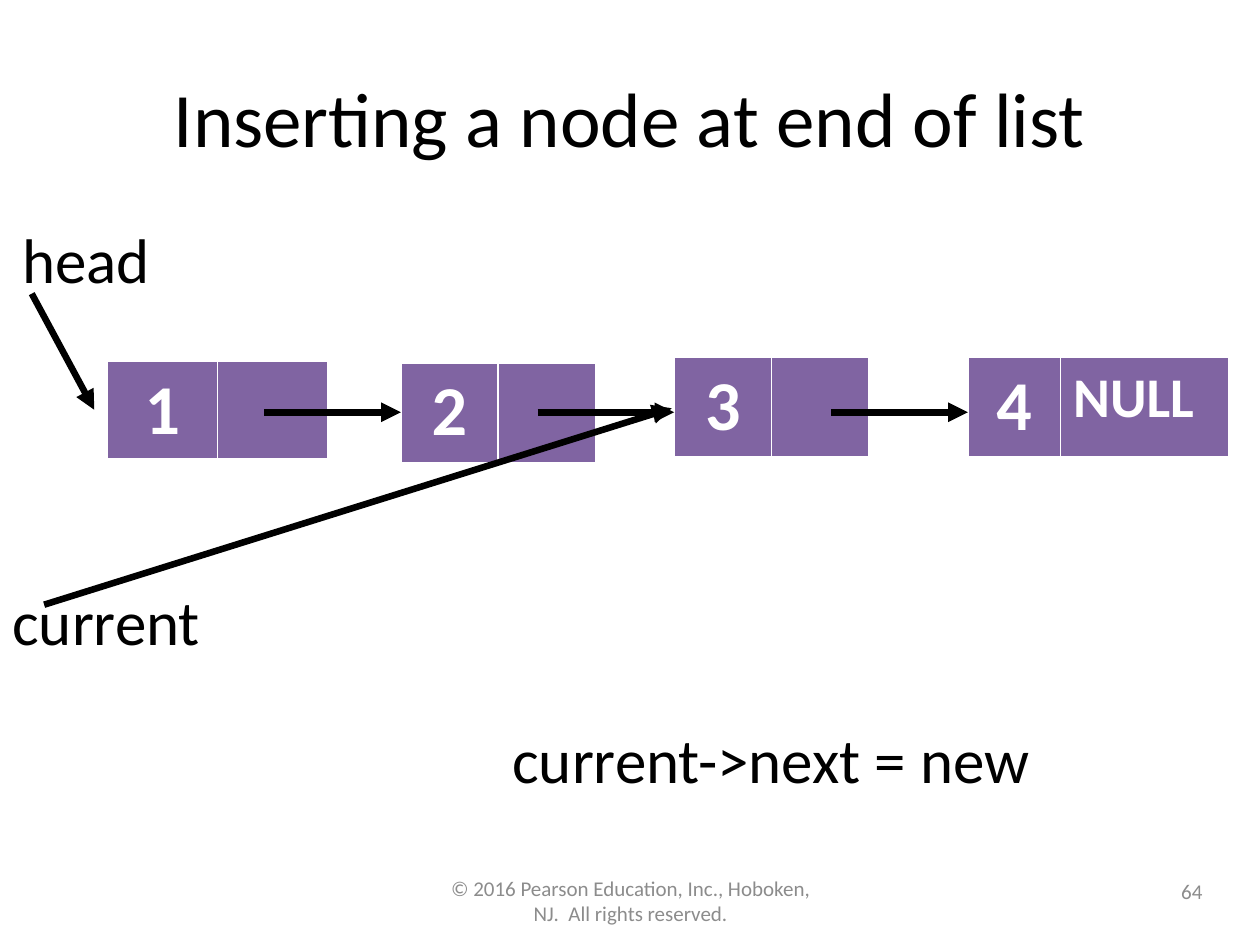
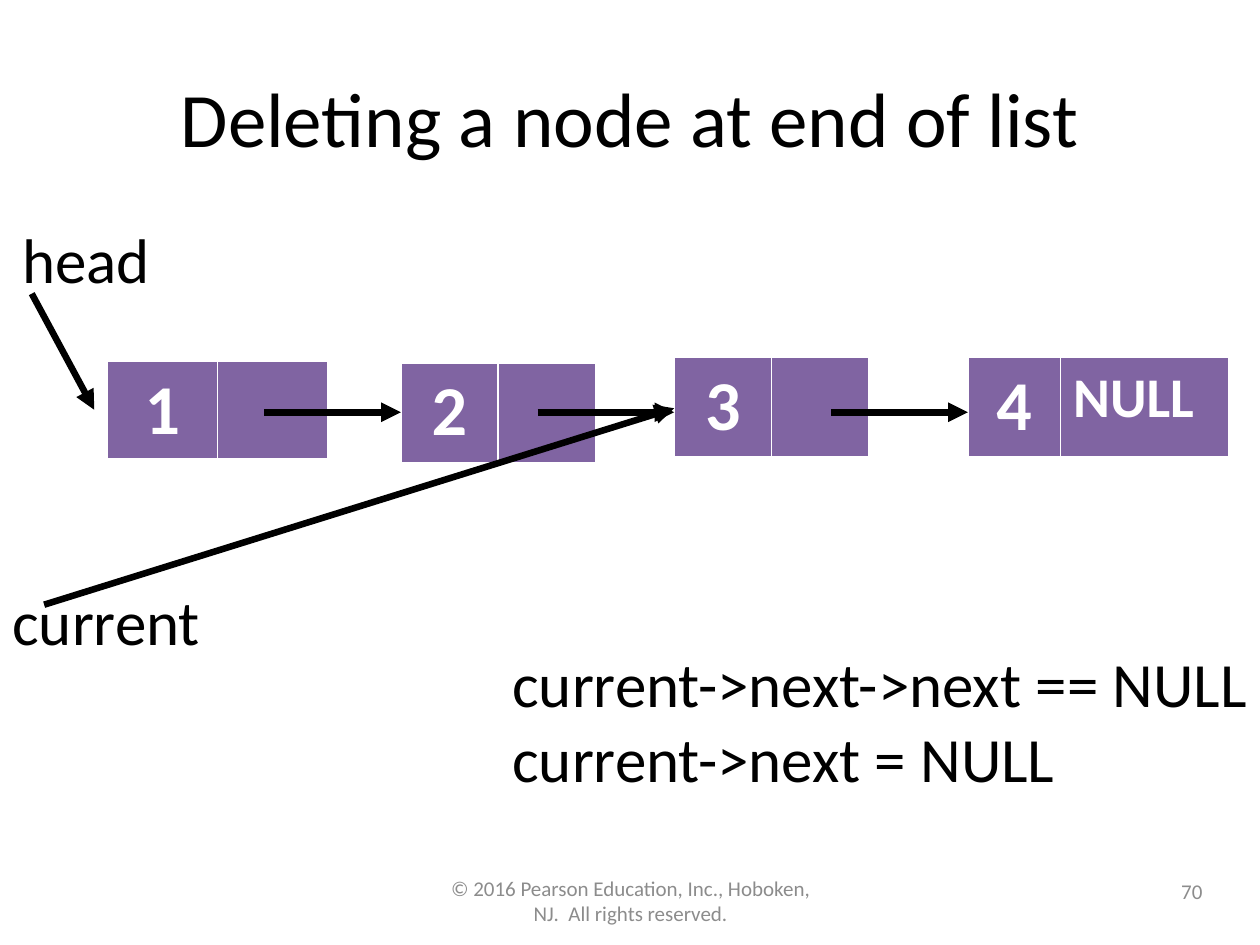
import pptx
import pptx.dml.color
import pptx.enum.shapes
import pptx.enum.text
import pptx.oxml.ns
import pptx.util
from lxml import etree

Cm, Pt = pptx.util.Cm, pptx.util.Pt
ALIGN = pptx.enum.text.PP_ALIGN
ANCHOR = pptx.enum.text.MSO_ANCHOR

FONT = "Calibri"
BLACK, WHITE, GREY, PURPLE = "000000", "FFFFFF", "8C8C8C", "8064A2"
COPYRIGHT = "© 2016 Pearson Education, Inc., Hoboken, NJ.  All rights reserved."

ARROW_Y = 8.31
ARROW_LENGTH = 2.75
LINE_HEIGHT = 1.55  # one line of 36 pt text
TEXT_INSETS = 0.25  # top and bottom inset together

# Left, top, height, cell widths and cell texts of each list node
NODES = [
    (2.16, 7.29, 1.96, (2.22, 2.22), ("1", "")),
    (8.08, 7.32, 2.0, (1.96, 1.96), ("2", "")),
    (13.59, 7.21, 2.0, (1.96, 1.96), ("3", "")),
    (19.51, 7.21, 2.0, (1.87, 3.4), ("4", "NULL")),
]


def color(hex_string):
    return pptx.dml.color.RGBColor.from_string(hex_string)


def format_text(frame, size, hex_string, align=ALIGN.LEFT, bold=False):
    for para in frame.paragraphs:
        para.alignment = align
        for span in para.runs:
            span.font.name = FONT
            span.font.size = Pt(size)
            span.font.bold = bold
            span.font.color.rgb = color(hex_string)


def add_wrapped_text(page, box, text, size, hex_string, align):
    frame = page.shapes.add_textbox(*map(Cm, box)).text_frame
    frame.word_wrap = True
    frame.vertical_anchor = ANCHOR.MIDDLE
    frame.text = text
    format_text(frame, size, hex_string, align)


def add_label(page, left, top, width, lines):
    """Add 36 pt text whose box grows with its lines."""
    height = TEXT_INSETS + LINE_HEIGHT * len(lines)
    frame = page.shapes.add_textbox(Cm(left), Cm(top), Cm(width), Cm(height)).text_frame
    frame.word_wrap = False
    frame.auto_size = pptx.enum.text.MSO_AUTO_SIZE.SHAPE_TO_FIT_TEXT
    frame.text = "\n".join(lines)
    format_text(frame, 36, BLACK)


def add_arrow(page, start, end):
    arrow = page.shapes.add_connector(
        pptx.enum.shapes.MSO_CONNECTOR.STRAIGHT, *map(Cm, start + end))
    arrow.line.color.rgb = color(BLACK)
    arrow.line.width = Pt(3.75)
    qn = pptx.oxml.ns.qn
    etree.SubElement(arrow.line._get_or_add_ln(), qn("a:tailEnd"), type="triangle")
    etree.SubElement(arrow._element.spPr, qn("a:effectLst"))


def add_node(page, left, top, height, widths, texts):
    table = page.shapes.add_table(
        1, len(widths), Cm(left), Cm(top), Cm(sum(widths)), Cm(height)).table
    for index, (width, text) in enumerate(zip(widths, texts)):
        table.columns[index].width = Cm(width)
        cell = table.cell(0, index)
        cell.fill.solid()
        cell.fill.fore_color.rgb = color(PURPLE)
        cell.text = text
        if index == 0:
            format_text(cell.text_frame, 40, WHITE, ALIGN.CENTER, bold=True)
        else:
            format_text(cell.text_frame, 32, WHITE, bold=True)


def add_linked_list(page):
    for node in NODES:
        add_node(page, *node)
    for left, *_ in NODES[1:]:
        add_arrow(page, (left - ARROW_LENGTH, ARROW_Y), (left, ARROW_Y))


def add_pointers(page, current_tip):
    add_label(page, 0.2, 4.32, 3.1, ["head"])
    add_arrow(page, (0.64, 5.92), (1.9, 8.26))
    add_label(page, 0, 11.61, 4.32, ["current"])
    add_arrow(page, (0.89, 12.19), (current_tip, 8.23))


def add_code(page, left, bottom, width, lines):
    top = bottom - TEXT_INSETS - LINE_HEIGHT * len(lines)
    add_label(page, left, top, width, lines)


def add_frame(page, title, number):
    """Add the title, copyright line and page number."""
    add_wrapped_text(page, (1.27, 0.76, 22.86, 3.18), title, 44, BLACK, ALIGN.CENTER)
    add_wrapped_text(page, (8.69, 17.65, 8.05, 1.02), COPYRIGHT, 12, GREY, ALIGN.CENTER)
    add_wrapped_text(page, (18.57, 17.45, 5.92, 1.02), number, 12, GREY, ALIGN.RIGHT)


def add_list_slide(deck, title, number, current_tip, code_width, code):
    page = deck.slides.add_slide(deck.slide_layouts[6])
    add_frame(page, title, number)
    add_linked_list(page)
    add_pointers(page, current_tip)
    add_code(page, 10.08, 16.21, code_width, code)


def main():
    deck = pptx.Presentation()
    deck.slide_width, deck.slide_height = Cm(25.4), Cm(19.05)
    add_list_slide(deck, "Inserting a node at end of list", "64", 13.54, 11.02,
                   ["current->next = new"])
    add_list_slide(deck, "Deleting a node at end of list", "70", 13.59, 15.44,
                   ["current->next->next == NULL", "current->next = NULL"])
    deck.save("out.pptx")


if __name__ == "__main__":
    main()
